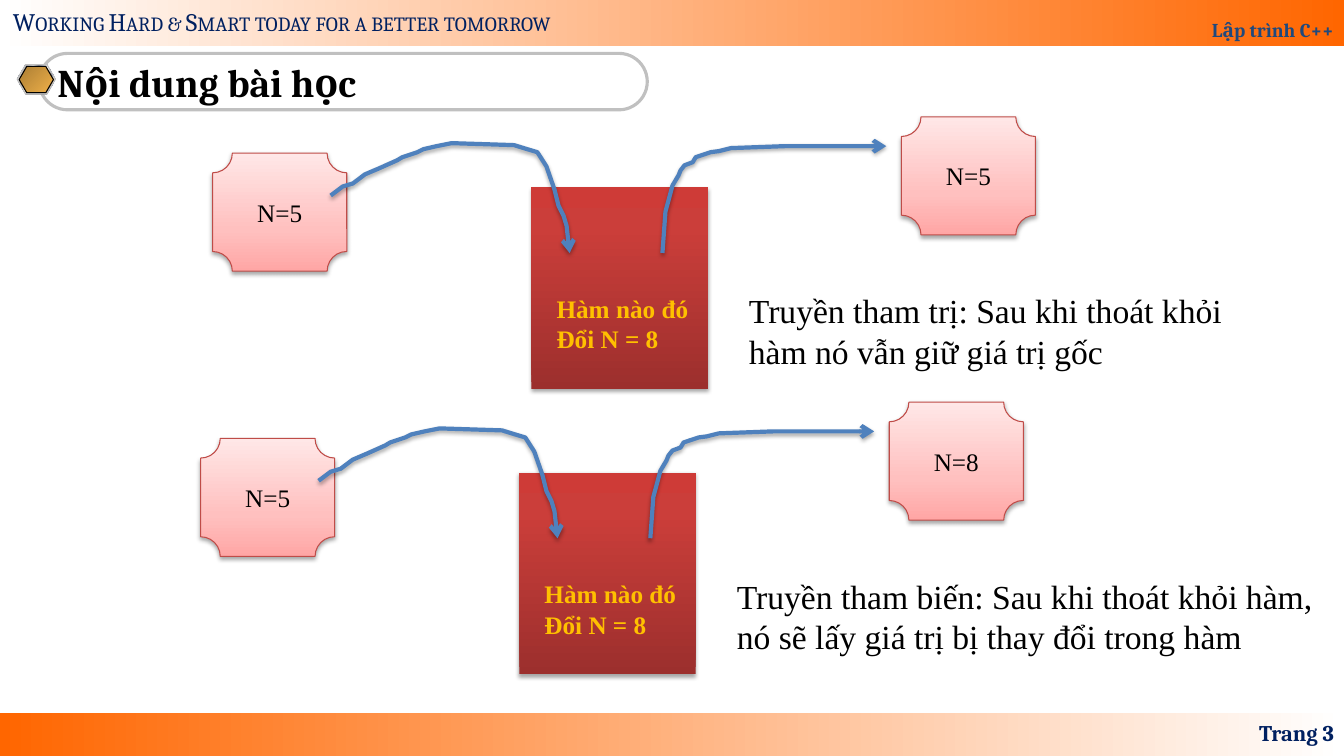
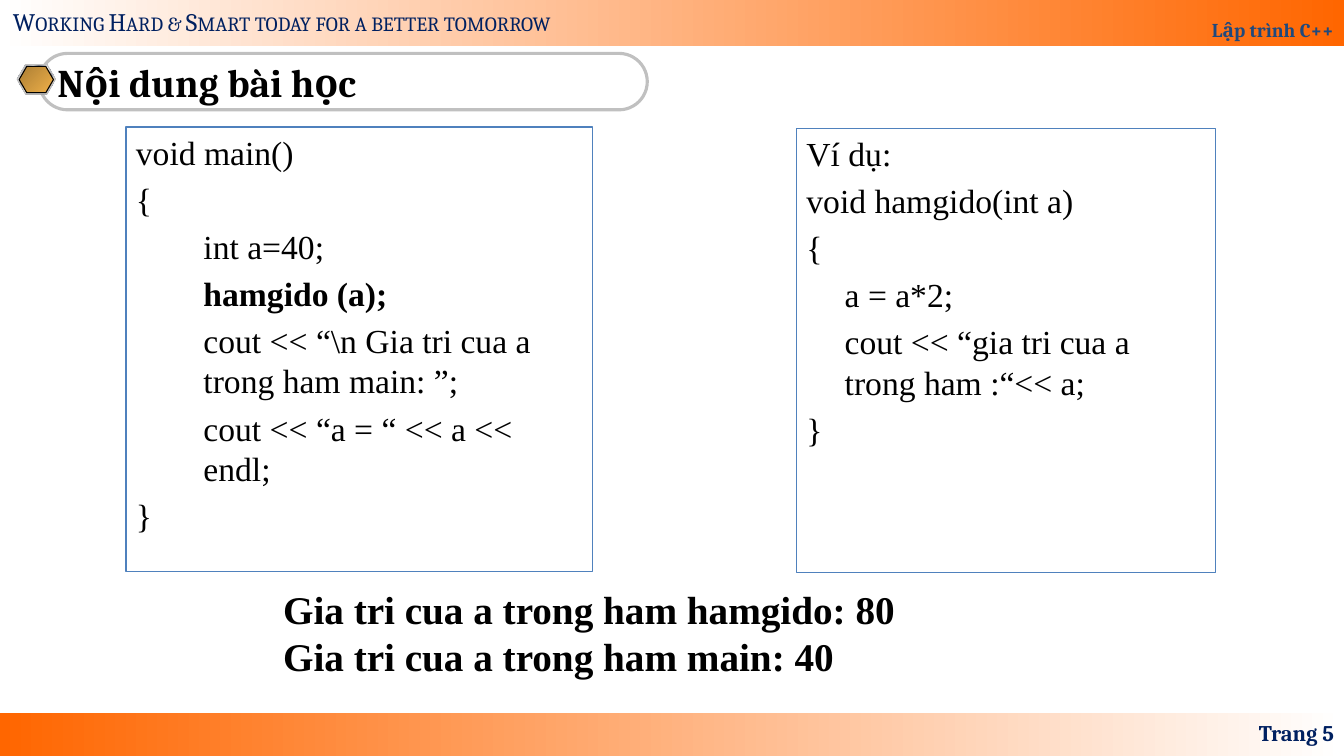
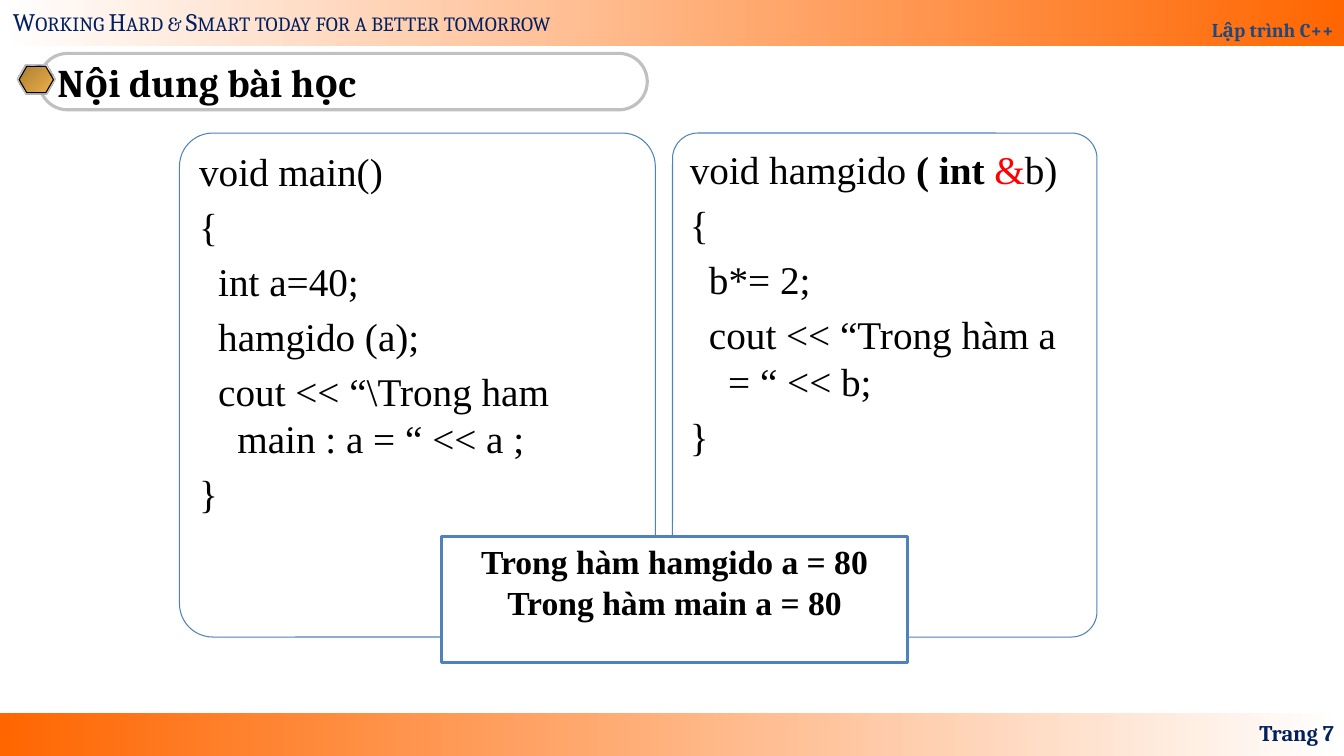
from pptx import Presentation
from pptx.dml.color import RGBColor
from pptx.enum.shapes import MSO_SHAPE
from pptx.enum.text import MSO_ANCHOR, MSO_AUTO_SIZE, PP_ALIGN
from pptx.oxml import parse_xml
from pptx.oxml.ns import nsdecls, qn
from pptx.util import Inches, Pt

RECT, ROUNDED = MSO_SHAPE.RECTANGLE, MSO_SHAPE.ROUNDED_RECTANGLE
HEXAGON, PLAQUE = MSO_SHAPE.HEXAGON, MSO_SHAPE.PLAQUE
TOP, MIDDLE, BOTTOM = MSO_ANCHOR.TOP, MSO_ANCHOR.MIDDLE, MSO_ANCHOR.BOTTOM
LEFT, CENTER, RIGHT = PP_ALIGN.LEFT, PP_ALIGN.CENTER, PP_ALIGN.RIGHT

WHITE = RGBColor(0xFF, 0xFF, 0xFF)
BLACK = RGBColor(0, 0, 0)
ORANGE = RGBColor(0xFF, 0x66, 0x00)
NAVY = RGBColor(0x00, 0x20, 0x60)
COURSE_BLUE = RGBColor(0x1F, 0x49, 0x7D)
BLUE = RGBColor(0x4F, 0x81, 0xBD)
GRAY = RGBColor(0x80, 0x80, 0x80)
SILVER = RGBColor(0xC0, 0xC0, 0xC0)
PALE_STEEL = RGBColor(0xE6, 0xE6, 0xE6)
STEEL = RGBColor(0x7D, 0x84, 0x96)
BRONZE = RGBColor(0xAB, 0x7E, 0x34)
GOLD = RGBColor(0xEF, 0xB0, 0x49)
YELLOW = RGBColor(0xFF, 0xC0, 0x00)
RED = RGBColor(0xFF, 0, 0)
PLAQUE_LINE = RGBColor(0xBF, 0x4C, 0x48)

METAL = [(0, PALE_STEEL), (7, STEEL), (26, PALE_STEEL), (34, STEEL),
         (46, PALE_STEEL), (50, WHITE), (54, PALE_STEEL), (66, STEEL),
         (74, PALE_STEEL), (93, STEEL), (100, PALE_STEEL)]
PINKS = [(0, RGBColor(0xFF, 0xA6, 0xA5)), (35, RGBColor(0xFF, 0xC0, 0xBF)),
         (100, RGBColor(0xFF, 0xE7, 0xE7))]
REDS = [(0, RGBColor(0x9C, 0x2F, 0x2D)), (80, RGBColor(0xCB, 0x3E, 0x3A)),
        (100, RGBColor(0xCE, 0x3B, 0x37))]

HEADING_FONT, BODY_FONT = "Cambria", "Times New Roman"


def set_gradient(shape, stops, angle):
    """Fill with (percent, colour) stops; the angle runs counter-clockwise."""
    shape.fill.gradient()
    shape.fill.gradient_angle = angle
    stop_list = shape.element.spPr.find(".//" + qn("a:gsLst"))
    stop_list.clear()
    for percent, color in stops:
        stop_list.append(parse_xml(
            f'<a:gs {nsdecls("a")} pos="{percent * 1000}">'
            f'<a:srgbClr val="{color}"/></a:gs>'))


def write(shape, text, size, color=BLACK, bold=False, font=BODY_FONT,
          align=LEFT, anchor=TOP, wrap=True):
    frame = shape.text_frame
    frame.text = text
    frame.word_wrap = wrap
    frame.auto_size = MSO_AUTO_SIZE.NONE
    frame.vertical_anchor = anchor
    for paragraph in frame.paragraphs:
        paragraph.alignment = align
        paragraph.font.name = font
        paragraph.font.size = Pt(size)
        paragraph.font.bold = bold
        paragraph.font.color.rgb = color
    return frame


prs = Presentation()
prs.slide_width, prs.slide_height = Inches(13.33), Inches(7.5)
layout = prs.slide_layouts[5]
for placeholder in list(layout.placeholders)[1:]:
    layout.shapes.element.remove(placeholder.element)

# Slides with their title and page number
slides = []
for page in (3, 5, 7):
    slide = prs.slides.add_slide(layout)
    title = slide.shapes.title
    title.left, title.top = Inches(0.47), Inches(0.53)
    title.width, title.height = Inches(5.87), Inches(0.56)
    write(title, "Nội dung bài học", 28, bold=True, font=HEADING_FONT,
          anchor=MIDDLE)
    page_label = slide.shapes.add_textbox(
        Inches(10.22), Inches(7.07), Inches(3.11), Inches(0.4))
    write(page_label, f"Trang {page}", 16, NAVY, True, HEADING_FONT, RIGHT,
          MIDDLE)
    slides.append(slide)
passing, by_value, by_reference = slides

# Shared frame: drawn on a slide, then moved into the layout
shapes = passing.shapes
footer = shapes.add_shape(RECT, 0, Inches(7.07), prs.slide_width, Inches(0.43))
set_gradient(footer, [(0, ORANGE), (100, WHITE)], 0)
header = shapes.add_shape(RECT, 0, 0, prs.slide_width, Inches(0.46))
set_gradient(header, [(0, WHITE), (100, ORANGE)], 0)
course = write(header, "Lập trình C++", 14, COURSE_BLUE, True, HEADING_FONT,
               RIGHT, BOTTOM)
course.paragraphs[0].line_spacing = 1.8
motto = shapes.add_textbox(Inches(0.03), Inches(0.01), Inches(5.9), Inches(0.4))
motto_text = write(motto, "Working Hard & Smart today for a better tomorrow",
                   18, NAVY, font=HEADING_FONT, wrap=False)
motto_text.paragraphs[0]._p.pPr.find(qn("a:defRPr")).set("cap", "small")
title_pill = shapes.add_shape(ROUNDED, Inches(0.39), Inches(0.53),
                              Inches(6.03), Inches(0.56))
title_pill.adjustments[0] = 0.5
title_pill.fill.background()
title_pill.line.color.rgb = SILVER
title_pill.line.width = Pt(2.25)
frame_parts = [footer, header, motto, title_pill]
for left, top, width, height, stops, outline in (
        (0.17, 0.65, 0.38, 0.29, [(0, GRAY), (100, GRAY)], None),
        (0.17, 0.64, 0.38, 0.29, METAL, SILVER),
        (0.19, 0.66, 0.34, 0.26, [(0, BRONZE), (100, GOLD)], BLACK)):
    bullet = shapes.add_shape(HEXAGON, Inches(left), Inches(top),
                              Inches(width), Inches(height))
    bullet.adjustments[0] = 0.29
    set_gradient(bullet, stops, 315)
    if outline is None:
        bullet.line.fill.background()
    else:
        bullet.line.color.rgb = outline
        bullet.line.width = Pt(0.75)
    frame_parts.append(bullet)
for band in (footer, header):
    band.line.fill.background()
for part in frame_parts:
    if part is not motto:
        part.shadow.inherit = False
    layout.shapes.element.append(part.element)

# Slide 1: passing by value above, by reference below
INWARD = [(3.28, 1.94), (3.4, 1.85), (3.5, 1.82), (3.62, 1.73), (3.76, 1.67),
          (3.94, 1.59), (3.99, 1.56), (4.14, 1.51), (4.2, 1.48), (4.33, 1.45),
          (4.48, 1.42), (5.1, 1.44), (5.23, 1.48), (5.33, 1.51), (5.42, 1.65),
          (5.5, 1.88), (5.54, 2.04), (5.59, 2.14), (5.62, 2.24), (5.65, 2.51)]
OUTWARD = [(6.57, 2.51), (6.6, 2.1), (6.63, 1.99), (6.67, 1.84), (6.73, 1.74),
           (6.75, 1.69), (6.79, 1.64), (6.87, 1.61), (6.9, 1.56), (6.96, 1.54),
           (7.05, 1.51), (7.13, 1.5), (7.25, 1.47), (7.79, 1.45), (8.79, 1.45)]
for dx, dy, result, note, note_width in (
        (0, 0, "N=5", "Truyền tham trị: Sau khi thoát khỏi hàm nó vẫn giữ "
         "giá trị gốc", 5.17),
        (-0.12, 2.83, "N=8", "Truyền tham biến: Sau khi thoát khỏi hàm, nó sẽ "
         "lấy giá trị bị thay đổi trong hàm", 5.96)):
    function_box = passing.shapes.add_shape(
        RECT, Inches(5.27 + dx), Inches(1.86 + dy), Inches(1.75), Inches(2))
    set_gradient(function_box, REDS, 90)
    function_box.line.fill.background()
    function_text = write(function_box, "Hàm nào đó\nĐổi N = 8", 18, YELLOW, True)
    function_text.margin_left, function_text.margin_right = Inches(0.25), 0
    function_text.margin_top = Inches(1.05)
    shadowed = [function_box]
    for left, top, value in ((2.11, 1.52, "N=5"), (8.94, 1.16, result)):
        plaque = passing.shapes.add_shape(
            PLAQUE, Inches(left + dx), Inches(top + dy), Inches(1.33), Inches(1.17))
        set_gradient(plaque, PINKS, 90)
        plaque.line.color.rgb = PLAQUE_LINE
        plaque.line.width = Pt(0.75)
        write(plaque, value, 18, align=CENTER, anchor=MIDDLE)
        shadowed.append(plaque)
    for route in (INWARD, OUTWARD):
        points = [(Inches(x + dx), Inches(y + dy)) for x, y in route]
        builder = passing.shapes.build_freeform(*points[0])
        builder.add_line_segments(points[1:], close=False)
        arrow = builder.convert_to_shape()
        arrow.fill.background()
        arrow.line.color.rgb = BLUE
        arrow.line.width = Pt(3)
        arrow.element.spPr.find(qn("a:ln")).append(
            parse_xml(f'<a:tailEnd {nsdecls("a")} type="arrow"/>'))
        shadowed.append(arrow)
    for shape in shadowed:
        shape.shadow.inherit = False
        shape.element.spPr.find(qn("a:effectLst")).append(parse_xml(
            f'<a:outerShdw {nsdecls("a")} blurRad="{Pt(3.1)}" dist="{Pt(1.8)}" '
            'dir="5400000" rotWithShape="0"><a:srgbClr val="000000">'
            '<a:alpha val="35000"/></a:srgbClr></a:outerShdw>'))
    explanation = passing.shapes.add_textbox(
        Inches(7.33 + dx), Inches(2.83 + dy), Inches(note_width), Inches(0.91))
    write(explanation, note, 24)

# Slides 2 and 3: code panels; body lines are indented between the braces
listings = []
for slide, kind, corner, box, size, margin, hanging, opening, body in (
        (by_value, RECT, None, (7.9, 1.27, 4.16, 4.41), 24, 0.38, 0,
         ["Ví dụ:", "void hamgido(int a)", "{"],
         ["a = a*2;", "cout << “gia tri cua a trong ham :“<< a;"]),
        (by_value, RECT, None, (1.25, 1.26, 4.63, 4.41), 24, 0.67, 0,
         ["void main()", "{"],
         ["int a=40;", "hamgido (a);",
          "cout << “\\n Gia tri cua a trong ham main: ”;",
          "cout << “a = “ << a << endl;"]),
        (by_reference, ROUNDED, 0.07, (1.78, 1.32, 4.72, 5), 28, 0.38, -0.19,
         ["void main()", "{"],
         ["int a=40;", "hamgido (a);", "cout << “\\Trong ham main : a = “ << a ;"]),
        (by_reference, ROUNDED, 0.06, (6.67, 1.32, 4.21, 5), 28, 0.38, -0.19,
         ["void hamgido ", "{"],
         ["b*= 2;", "cout << “Trong hàm a = “ << b;"])):
    panel = slide.shapes.add_shape(kind, *(Inches(length) for length in box))
    panel.shadow.inherit = False
    if corner:
        panel.adjustments[0] = corner
    panel.fill.solid()
    panel.fill.fore_color.rgb = WHITE
    panel.line.color.rgb = BLUE
    panel.line.width = Pt(0.75)
    code = write(panel, "\n".join([*opening, *body, "}"]), size)
    for paragraph in code.paragraphs:
        paragraph.space_before = Pt(size * 0.2)
    for paragraph in code.paragraphs[len(opening):-1]:
        properties = paragraph._p.get_or_add_pPr()
        properties.set("marL", str(Inches(margin)))
        properties.set("indent", str(Inches(hanging)))
    listings.append(code)

value_call = listings[1].paragraphs[3]
value_call.font.bold = True
reference_signature = listings[3].paragraphs[0]
for text, bold, color in (("( int ", True, BLACK), ("&", False, RED),
                          ("b)", False, BLACK)):
    run = reference_signature.add_run()
    run.text = text
    run.font.bold = bold
    run.font.color.rgb = color

value_output = by_value.shapes.add_textbox(
    Inches(2.71), Inches(5.76), Inches(6.34), Inches(1.04))
write(value_output, "Gia tri cua a trong ham hamgido: 80\n"
      "Gia tri cua a trong ham main: 40", 28, bold=True)

reference_output = by_reference.shapes.add_shape(
    RECT, Inches(4.38), Inches(5.32), Inches(4.62), Inches(1.25))
reference_output.shadow.inherit = False
reference_output.fill.solid()
reference_output.fill.fore_color.rgb = WHITE
reference_output.line.color.rgb = BLUE
reference_output.line.width = Pt(2)
write(reference_output, "Trong hàm hamgido a = 80\nTrong hàm main a = 80", 24,
      bold=True, align=CENTER)

prs.save("out.pptx")
